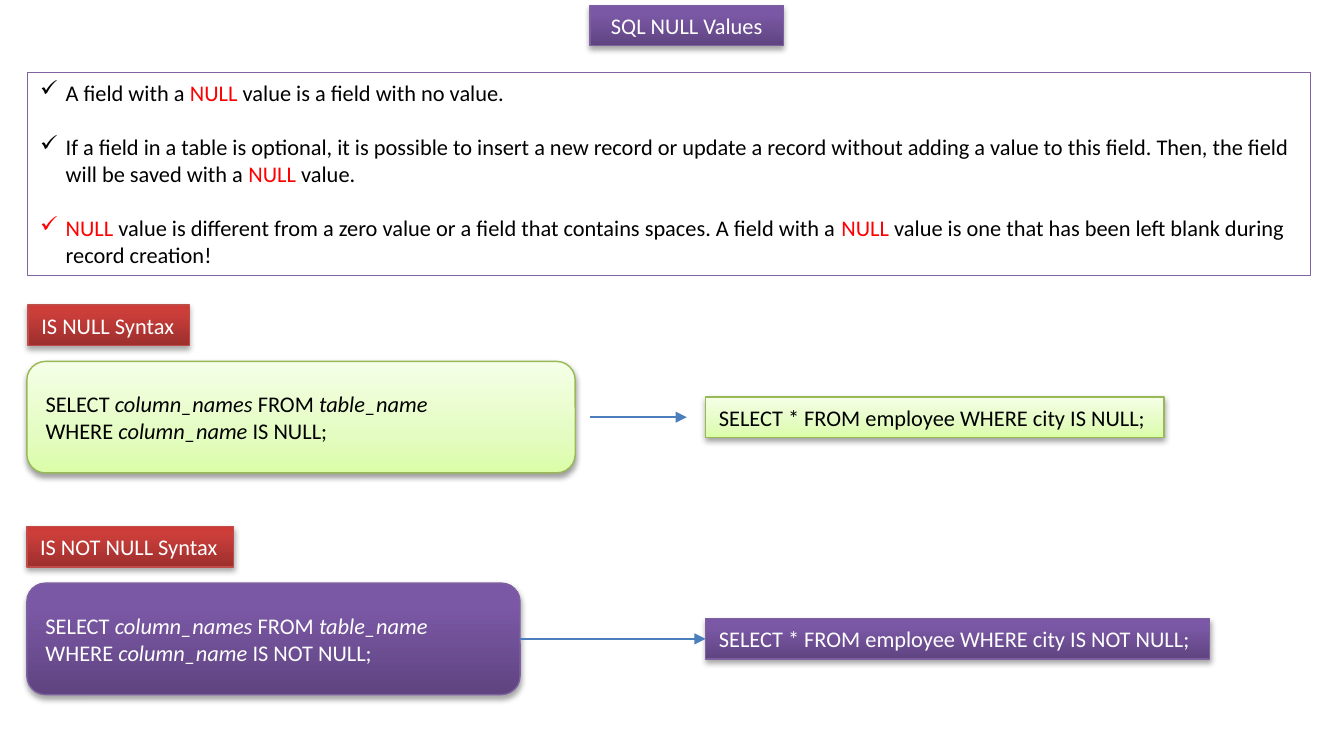
from copy import deepcopy

from lxml.etree import SubElement
from pptx import Presentation
from pptx.dml.color import RGBColor
from pptx.enum.shapes import MSO_CONNECTOR, MSO_SHAPE
from pptx.enum.text import MSO_ANCHOR, MSO_AUTO_SIZE, PP_ALIGN
from pptx.oxml.ns import qn
from pptx.util import Inches, Pt

BLACK = RGBColor(0x00, 0x00, 0x00)
WHITE = RGBColor(0xFF, 0xFF, 0xFF)
RED = RGBColor(0xFF, 0x00, 0x00)
PANEL_LINE = RGBColor(0x80, 0x64, 0xA2)
ARROW_BLUE = RGBColor(0x4B, 0x7E, 0xBC)

# Each style: gradient stops from bottom to top, line, text, shadow opacity and distance
PURPLE = dict(
    stops=[(0, RGBColor(0x5F, 0x44, 0x80)), (0.8, RGBColor(0x7B, 0x58, 0xA6)),
           (1, RGBColor(0x7C, 0x57, 0xA8))],
    line=RGBColor(0x7D, 0x60, 0xA0), text=WHITE, opacity=35, distance=1.8)
CRIMSON = dict(
    stops=[(0, RGBColor(0x9C, 0x2F, 0x2D)), (0.8, RGBColor(0xCB, 0x3E, 0x3A)),
           (1, RGBColor(0xCE, 0x3B, 0x37))],
    line=RGBColor(0xBF, 0x4C, 0x48), text=WHITE, opacity=35, distance=1.8)
GREEN = dict(
    stops=[(0, RGBColor(0xDA, 0xFD, 0xA7)), (0.35, RGBColor(0xE4, 0xFC, 0xC2)),
           (1, RGBColor(0xF5, 0xFF, 0xE7))],
    line=RGBColor(0x98, 0xB9, 0x55), text=BLACK, opacity=38, distance=1.6)

LABEL_HEIGHT = 0.3

# A bar switches the emphasis on and off
FACTS = [
    "A field with a |NULL| value is a field with no value.",
    "If a field in a table is optional, it is possible to insert a new record or update a "
    "record without adding a value to this field. Then, the field will be saved with a "
    "|NULL| value.",
    "|NULL |value is different from a zero value or a field that contains spaces. A field "
    "with a |NULL| value is one that has been left blank during record creation!",
]


def place(shape, left, top, width, height):
    shape.left, shape.top = Inches(left), Inches(top)
    shape.width, shape.height = Inches(width), Inches(height)


def apply_style(shape, style):
    """Give the shape its gradient, outline and soft shadow."""
    shape.fill.gradient()
    shape.fill.gradient_angle = 90
    stop_list = shape._element.spPr.find(qn("a:gradFill")).find(qn("a:gsLst"))
    stop_list.append(deepcopy(stop_list[-1]))
    for stop, (position, color) in zip(shape.fill.gradient_stops, style["stops"]):
        stop.position = position
        stop.color.rgb = color
    shape.line.color.rgb = style["line"]
    shape.line.width = Pt(0.75)

    shape.shadow.inherit = False
    effects = shape._element.spPr.find(qn("a:effectLst"))
    shadow = SubElement(effects, qn("a:outerShdw"), blurRad=str(Pt(3.1)),
                        dist=str(Pt(style["distance"])), dir="5400000", rotWithShape="0")
    shadow_color = SubElement(shadow, qn("a:srgbClr"), val="000000")
    SubElement(shadow_color, qn("a:alpha"), val=str(style["opacity"] * 1000))


def write_runs(paragraph, text, color, accent=None, italic=False):
    """Write the text, with every second part between bars emphasised."""
    for index, part in enumerate(text.split("|")):
        if not part:
            continue
        run = paragraph.add_run()
        run.text = part
        emphasised = index % 2 == 1
        run.font.name = "Calibri"
        run.font.size = Pt(12)
        run.font.bold = False
        run.font.italic = italic and emphasised
        run.font.color.rgb = accent if accent and emphasised else color


def add_paragraphs(text_frame, count):
    return [text_frame.paragraphs[0]] + [text_frame.add_paragraph() for _ in range(count - 1)]


def add_title(slide, left, top, width, height):
    title = slide.shapes.title
    place(title, left, top, width, height)
    apply_style(title, PURPLE)
    frame = title.text_frame
    frame.auto_size = MSO_AUTO_SIZE.NONE
    frame.vertical_anchor = MSO_ANCHOR.MIDDLE
    paragraph = frame.paragraphs[0]
    paragraph.alignment = PP_ALIGN.CENTER
    write_runs(paragraph, "SQL NULL Values", WHITE)


def add_facts(slide, left, top, width, height):
    panel = slide.shapes.add_shape(MSO_SHAPE.RECTANGLE, 0, 0, 0, 0)
    place(panel, left, top, width, height)
    panel.shadow.inherit = False
    panel.fill.solid()
    panel.fill.fore_color.rgb = WHITE
    panel.line.color.rgb = PANEL_LINE
    panel.line.width = Pt(0.25)
    frame = panel.text_frame
    frame.word_wrap = True
    frame.vertical_anchor = MSO_ANCHOR.TOP
    for index, paragraph in enumerate(add_paragraphs(frame, len(FACTS))):
        properties = paragraph._p.get_or_add_pPr()
        properties.set("marL", str(Inches(0.19)))
        properties.set("indent", str(-Inches(0.19)))
        SubElement(properties, qn("a:buChar"), char="✓")
        paragraph.alignment = PP_ALIGN.LEFT
        if index:
            paragraph.space_before = Pt(14.6)
        write_runs(paragraph, FACTS[index], BLACK, accent=RED)


def add_styled_box(slide, box, preset, style, lines, wrap=False):
    shape = slide.shapes.add_shape(preset, 0, 0, 0, 0)
    place(shape, *box)
    apply_style(shape, style)
    frame = shape.text_frame
    frame.word_wrap = wrap
    frame.vertical_anchor = MSO_ANCHOR.MIDDLE
    for paragraph, line in zip(add_paragraphs(frame, len(lines)), lines):
        paragraph.alignment = PP_ALIGN.LEFT
        write_runs(paragraph, line, style["text"], italic=True)


def add_arrow(slide, start, end, y):
    arrow = slide.shapes.add_connector(
        MSO_CONNECTOR.STRAIGHT, Inches(start), Inches(y), Inches(end), Inches(y))
    arrow.line.color.rgb = ARROW_BLUE
    arrow.line.width = Pt(0.75)
    SubElement(arrow.line._get_or_add_ln(), qn("a:tailEnd"), type="triangle")
    SubElement(arrow._element.spPr, qn("a:effectLst"))


def add_syntax(slide, left, top, condition, style, label, syntax_width, example_width, arrow):
    """Label, syntax box, arrow and example for one condition."""
    label_left, label_width = label
    add_styled_box(slide, (label_left, top, label_width, LABEL_HEIGHT), MSO_SHAPE.RECTANGLE,
                   CRIMSON, [f"{condition} Syntax"])
    syntax_top, syntax_height = top + 0.42, 0.83
    add_styled_box(slide, (left, syntax_top, syntax_width, syntax_height),
                   MSO_SHAPE.ROUNDED_RECTANGLE, style,
                   ["SELECT |column_names |FROM |table_name",
                    f"WHERE |column_name| {condition};"], wrap=True)
    middle = syntax_top + syntax_height / 2
    add_styled_box(slide, (5.25, middle - LABEL_HEIGHT / 2, example_width, LABEL_HEIGHT),
                   MSO_SHAPE.RECTANGLE, style,
                   [f"SELECT * FROM employee WHERE city {condition};"])
    add_arrow(slide, *arrow, middle)


def main():
    presentation = Presentation()
    presentation.slide_width, presentation.slide_height = Inches(10), Inches(5.5)
    slide = presentation.slides.add_slide(presentation.slide_layouts[5])
    add_title(slide, 4.39, 0.04, 1.44, LABEL_HEIGHT)
    add_facts(slide, 0.2, 0.54, 9.55, 1.51)
    add_syntax(slide, 0.2, 2.27, "IS NULL", GREEN, label=(0.21, 1.2),
               syntax_width=4.08, example_width=3.41, arrow=(4.39, 5.11))
    add_syntax(slide, 0.2, 3.92, "IS NOT NULL", PURPLE, label=(0.2, 1.54),
               syntax_width=3.67, example_width=3.75, arrow=(3.87, 5.25))
    presentation.save("out.pptx")


if __name__ == "__main__":
    main()
